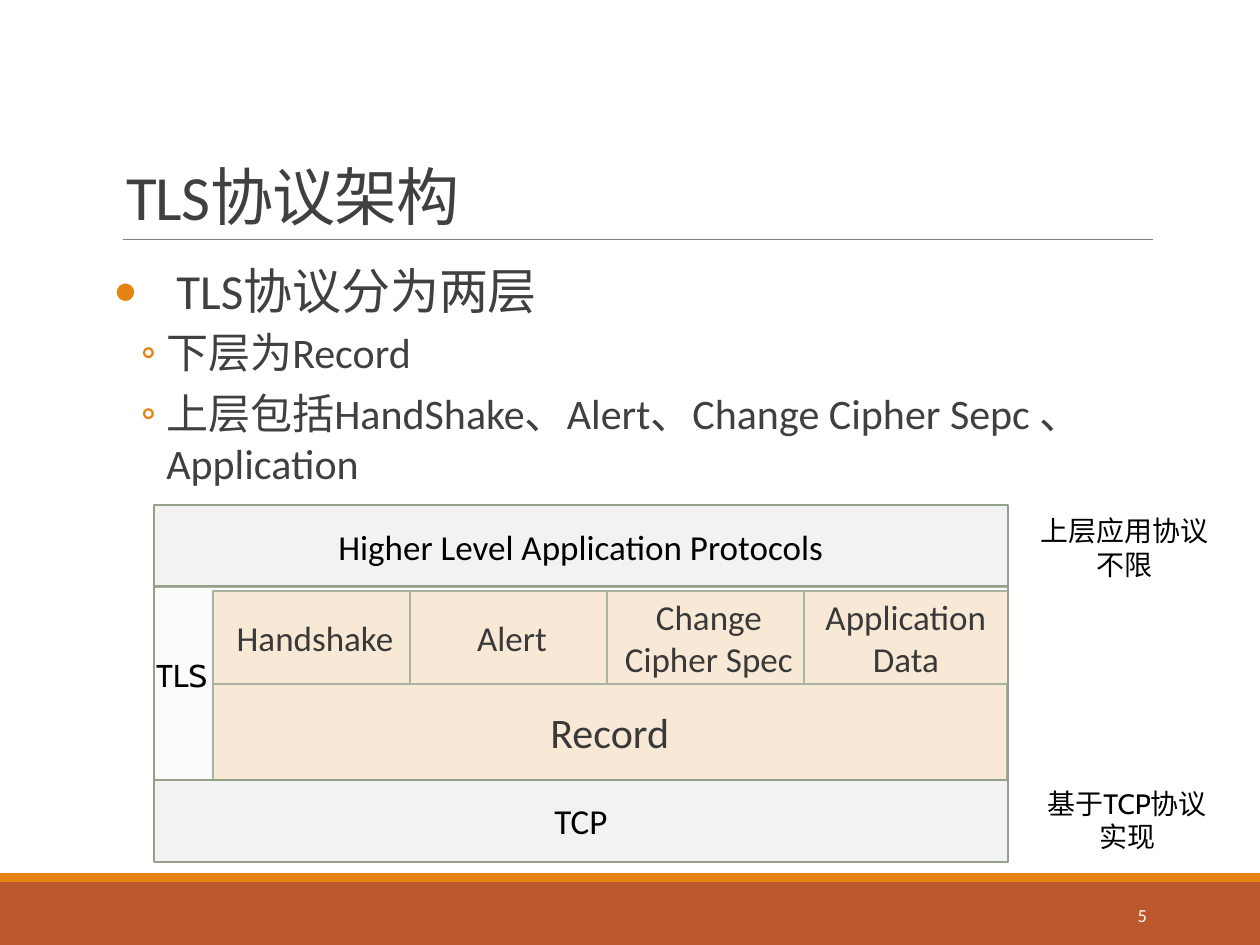
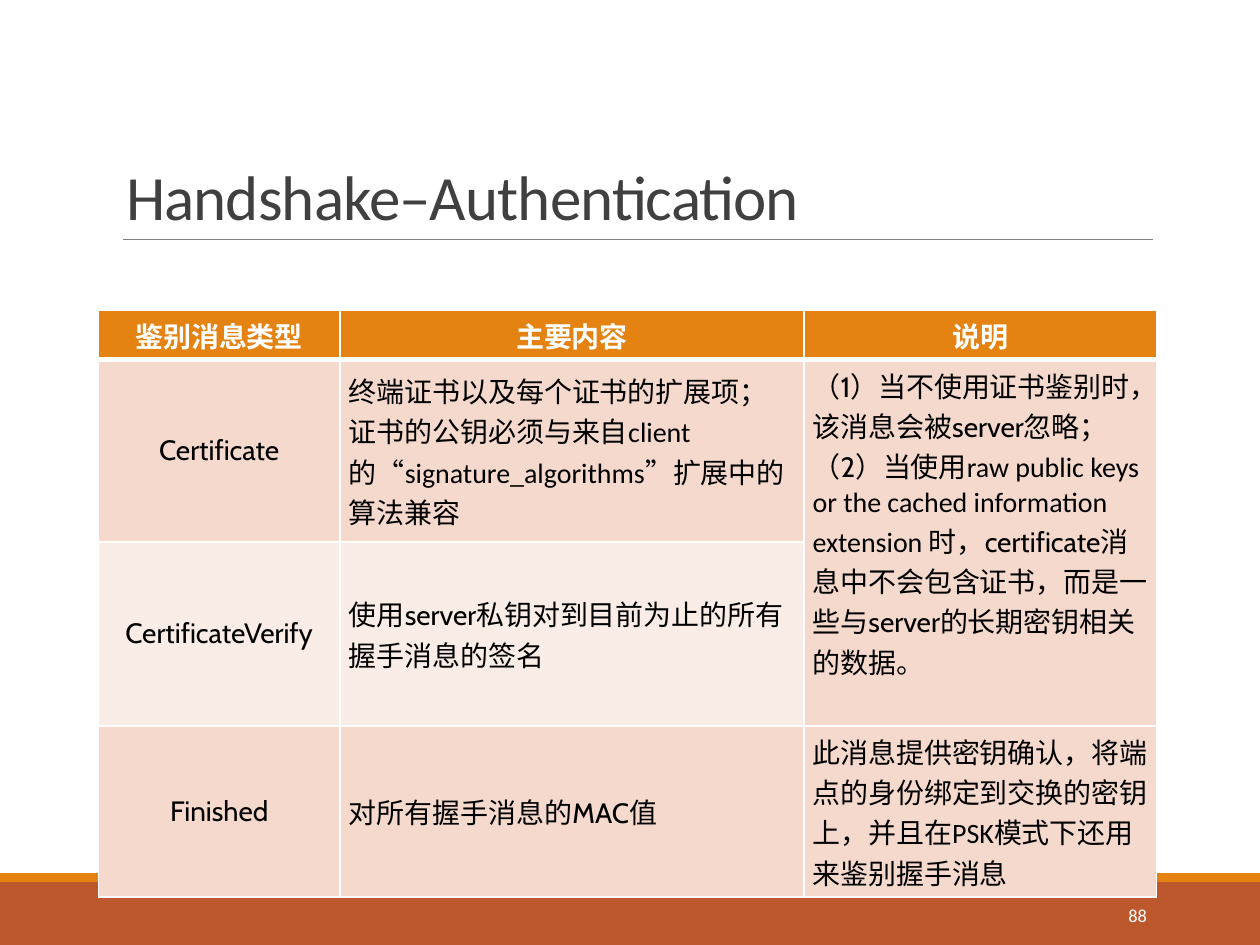
from dataclasses import dataclass
from lxml import etree
from pptx import Presentation
from pptx import util as u
from pptx.dml.color import RGBColor
from pptx.enum import shapes, text
from pptx.oxml import ns

A = text.MSO_ANCHOR
P = text.PP_ALIGN
FIT = text.MSO_AUTO_SIZE


@dataclass(frozen=True)
class Theme:
    sans: str = "Calibri"
    alt: str = "Cabin"
    title: int = 36
    lead: int = 28
    sub: int = 24
    box: int = 20
    label: int = 18
    note: int = 16
    number: float = 10.5
    dark: str = "404040"
    black: str = "000000"
    white: str = "FFFFFF"
    rule: str = "808080"
    band: str = "BD582C"
    accent: str = "E48312"
    edge: str = "94A088"
    grey: str = "F2F2F2"
    cream: str = "FBE6CE"
    row_dark: str = "F5D9CC"
    row_light: str = "FAEDE7"


T = Theme()


def apply(obj, values):
    for name, value in values.items():
        setattr(obj, name, value)


def node(parent, tag, **attrs):
    return etree.SubElement(parent, ns.qn(tag), attrs)


class Deck:
    def __init__(self):
        self.prs = Presentation()
        self.prs.slide_width, self.prs.slide_height = u.Inches(10), u.Inches(7.5)
        self.s = None

    def area(self, x, y, w, h):
        pw, ph = self.prs.slide_width / 100, self.prs.slide_height / 100
        return [round(v) for v in (x * pw, y * ph, w * pw, h * ph)]

    def place(self, sp, *area):
        apply(sp, dict(zip(("left", "top", "width", "height"), self.area(*area))))

    def run(self, p, words, size, color, font=T.sans, bold=False):
        r = p.add_run()
        r.text = words
        apply(r.font, {"size": u.Pt(size), "name": font, "bold": bold})
        r.font.color.rgb = RGBColor.from_string(color)
        return r

    def slide(self, layout, title, number):
        self.s = self.prs.slides.add_slide(self.prs.slide_layouts[layout])
        self.rect((0, 93.33, 100, 6.67), T.band)
        self.rect((0, 92.4, 100, 0.93), T.accent)
        self.rule(9.8, 25.33, 91.5)
        sp = self.s.shapes.title
        self.place(sp, 9, 4.13, 82.5, 21.2)
        apply(sp.text_frame, {"vertical_anchor": A.BOTTOM, "auto_size": FIT.NONE})
        p = sp.text_frame.paragraphs[0]
        apply(p, {"alignment": P.LEFT, "line_spacing": 0.85})
        r = self.run(p, title, T.title, T.dark)
        r.font._element.set("spc", "-50")
        self.label((81.2, 94.13, 10.8, 5.33), number, T.number, T.sans, T.white,
                   align=P.RIGHT, vertical_anchor=A.MIDDLE)

    def rule(self, x, y, x2):
        x, y, x2, _ = self.area(x, y, x2, 0)
        ln = self.s.shapes.add_connector(shapes.MSO_CONNECTOR.STRAIGHT, x, y, x2, y)
        ln.line.width = u.Pt(0.5)
        ln.line.color.rgb = RGBColor.from_string(T.rule)
        node(ln._element.spPr, "a:effectLst")

    def rect(self, area, fill, words="", size=T.box, edge=None, alpha=None):
        sp = self.s.shapes.add_shape(shapes.MSO_SHAPE.RECTANGLE, *self.area(*area))
        sp.shadow.inherit = False
        sp.fill.solid()
        sp.fill.fore_color.rgb = RGBColor.from_string(fill)
        if alpha:
            clr = sp._element.spPr.find(".//" + ns.qn("a:srgbClr"))
            node(clr, "a:alpha", val=str(alpha * 1000))
        if edge:
            sp.line.width = u.Pt(1)
            sp.line.color.rgb = RGBColor.from_string(edge)
        else:
            sp.line.fill.background()
        if words:
            apply(sp.text_frame, {"vertical_anchor": A.MIDDLE, "word_wrap": True})
            p = sp.text_frame.paragraphs[0]
            p.alignment = P.CENTER
            self.run(p, words, size, T.black)

    def label(self, area, words, size, font, color=T.black, align=P.CENTER, **frame):
        tf = self.s.shapes.add_textbox(*self.area(*area)).text_frame
        apply(tf, {"word_wrap": True, **frame})
        p = tf.paragraphs[0]
        p.alignment = align
        self.run(p, words, size, color, font)

    def bullets(self, area, items):
        sp = self.s.placeholders[1]
        self.place(sp, *area)
        tf = sp.text_frame
        apply(tf, {"auto_size": FIT.NONE, "margin_left": 0, "margin_right": 0})
        styles = (("•", T.lead, 0.5, -0.5, 12, 2), ("◦", T.sub, 0.42, -0.2, 2, 4))
        for i, (level, words) in enumerate(items):
            mark, size, left, hang, before, after = styles[level]
            p = tf.add_paragraph() if i else tf.paragraphs[0]
            apply(p, {"level": level, "space_before": u.Pt(before), "space_after": u.Pt(after)})
            pPr = p._p.get_or_add_pPr()
            pPr.set("marL", str(u.Inches(left)))
            pPr.set("indent", str(u.Inches(hang)))
            node(node(pPr, "a:buClr"), "a:srgbClr", val=T.accent)
            node(pPr, "a:buFont", typeface=T.sans)
            node(pPr, "a:buChar", char=mark)
            self.run(p, words, size, T.dark)

    def table(self, area, cols, rows, data, merge):
        tbl = self.s.shapes.add_table(len(rows), len(cols), *self.area(*area)).table
        apply(tbl, {"first_row": False, "horz_banding": False})
        for col, width in zip(tbl.columns, cols):
            col.width = self.area(0, 0, width, 0)[2]
        for row, height in zip(tbl.rows, rows):
            row.height = self.area(0, 0, 0, height)[3]
        for i, line in enumerate(data):
            for j, paragraphs in enumerate(line):
                self.cell(tbl.cell(i, j), i, j, paragraphs)
        first, last = merge
        tbl.cell(*first).merge(tbl.cell(*last))

    def cell(self, c, i, j, paragraphs):
        head = i == 0
        apply(c, {"margin_left": u.Inches(0.07), "margin_right": u.Inches(0.07),
                  "margin_top": u.Inches(0.04), "margin_bottom": u.Inches(0.04),
                  "vertical_anchor": A.TOP if j == 2 else A.MIDDLE})
        fill = T.accent if head else T.row_light if i == 2 and j < 2 else T.row_dark
        c.fill.solid()
        c.fill.fore_color.rgb = RGBColor.from_string(fill)
        tcPr = c._tc.get_or_add_tcPr()
        for k, side in enumerate("LRTB"):
            thick = (i, side) in ((0, "B"), (1, "T"))
            ln = etree.Element(ns.qn("a:ln" + side), w=str(u.Pt(3 if thick else 1)))
            node(node(ln, "a:solidFill"), "a:srgbClr", val=T.white)
            tcPr.insert(k, ln)
        for k, runs in enumerate(paragraphs):
            p = c.text_frame.add_paragraph() if k else c.text_frame.paragraphs[0]
            p.alignment = P.CENTER if head or j == 0 else P.LEFT
            for words, font in runs:
                self.run(p, words, T.note, T.white if head else T.black, font, head)


def para(words, font=T.alt):
    return [(words, font)]


def architecture(d):
    d.slide(1, "TLS协议架构", "5")
    d.bullets((9, 26.93, 82.5, 58.67), (
        (0, "TLS协议分为两层"),
        (1, "下层为Record"),
        (1, "上层包括HandShake、Alert、Change Cipher Sepc 、Application")))
    left, width, layer = 12.2, 67.8, 8.67
    d.rect((16.9, 72.27, 63, 10.27), T.cream, "Record", T.sub, T.edge)
    messages = ("Handshake", "Alert", "Change Cipher Spec", "Application Data")
    for i, name in enumerate(messages):
        d.rect((16.9 + 15.63 * i, 62.53, 16.2, 9.87), T.cream, name, edge=T.edge)
    for y, name in ((53.47, "Higher Level Application Protocols"), (82.53, "TCP")):
        d.rect((left, y, width, layer), T.grey, name, edge=T.edge)
    d.rect((left, 62, width, 20.53), T.grey, edge=T.edge, alpha=24)
    d.label((11.4, 68.8, 6.2, 5.33), "TLS", T.label, T.alt, align=P.LEFT,
            word_wrap=False, auto_size=FIT.SHAPE_TO_FIT_TEXT)
    for y, w, words in ((82.53, 16.5, "基于TCP协议实现"), (53.73, 16.1, "上层应用协议不限")):
        d.label((81.2, y, w, 8.53), words, T.note, T.alt, auto_size=FIT.SHAPE_TO_FIT_TEXT)


def authentication(d):
    d.slide(5, "Handshake–Authentication", "88")
    data = (
        [[para(h)] for h in ("鉴别消息类型", "主要内容", "说明")],
        [[para("Certificate")],
         [para("终端证书以及每个证书的扩展项；"),
          para("证书的公钥必须与来自client的“signature_algorithms”扩展中的算法兼容", T.sans)],
         [para("（1）当不使用证书鉴别时，该消息会被server忽略；"),
          para("（2）当使用")
          + para("raw public keys or the cached information extension ", T.sans)
          + para("时，certificate消息中不会包含证书，而是一些与server的长期密钥相关的数据。")]],
        [[para("CertificateVerify")],
         [para("使用server私钥对到目前为止的所有握手消息的签名")], []],
        [[para("Finished")],
         [para("对所有握手消息的MAC值")],
         [para("此消息提供密钥确认，将端点的身份绑定到交换的密钥上，并且在PSK模式下还用来鉴别握手消息", T.sans)]])
    d.table((7.8, 32.87, 84, 62.1), (19.2, 36.8, 28), (5.2, 19.27, 19.47, 18.13),
            data, ((1, 2), (2, 2)))


def main():
    d = Deck()
    architecture(d)
    authentication(d)
    d.prs.save("out.pptx")


if __name__ == "__main__":
    main()
